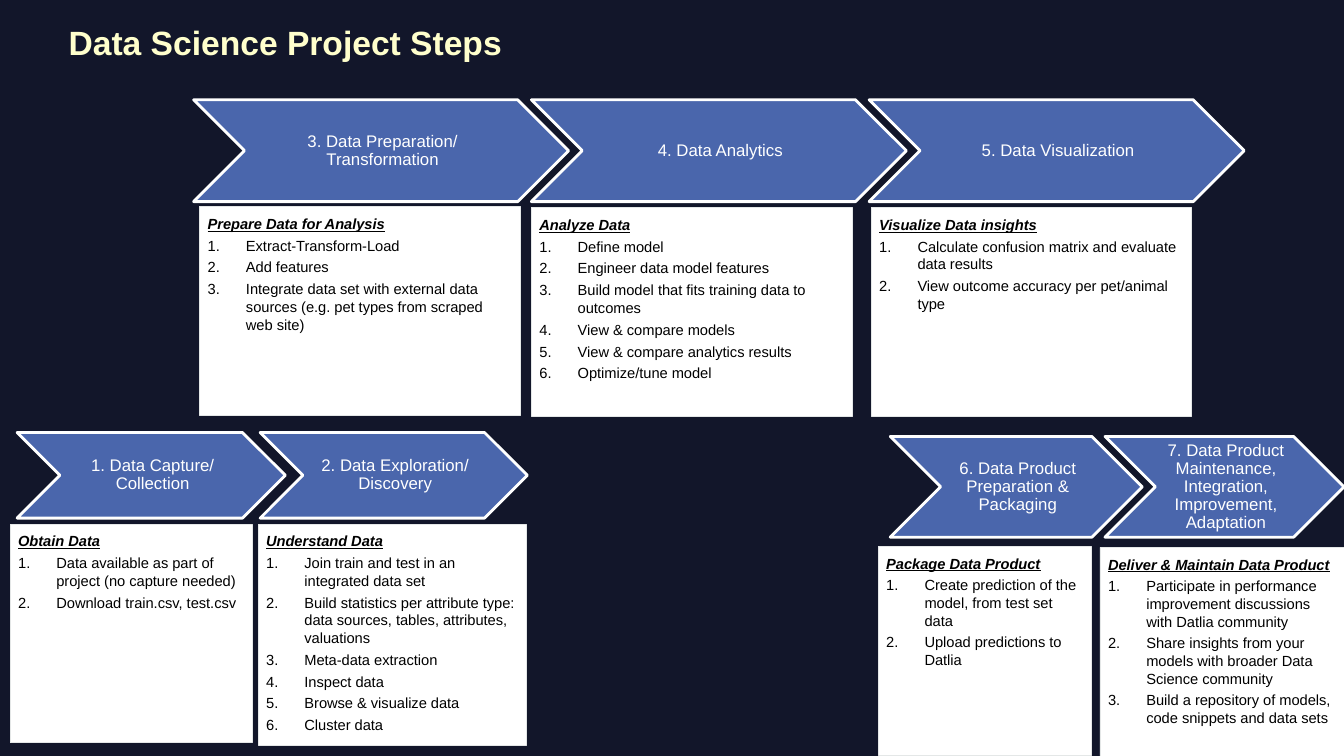
from lxml import etree
from pptx import Presentation
from pptx import util as u
from pptx.dml.color import RGBColor
from pptx.enum import shapes, text
from pptx.oxml.ns import qn

COLORS = {
    "background": "12162A", "title": "FFFFCC", "arrow": "4A66AC",
    "white": "FFFFFF", "card_edge": "E4E7E7", "ink": "000000",
}
FONT = "Arial"

# step label, arrow box, card box, card heading, card items (boxes in inches)
STEPS = [
    ("3. Data Preparation/ Transformation",
     (1.92, 0.99, 3.72, 1.01), (1.98, 2.05, 3.18, 2.07),
     "Prepare Data for Analysis",
     ["Extract-Transform-Load", "Add features",
      "Integrate data set with external data sources "
      "(e.g. pet types from scraped web site)"]),
    ("4. Data Analytics",
     (5.27, 0.99, 3.72, 1.01), (5.27, 2.06, 3.18, 2.07),
     "Analyze Data",
     ["Define model", "Engineer data model features",
      "Build model that fits training data to outcomes",
      "View & compare models", "View & compare analytics results",
      "Optimize/tune model"]),
    ("5. Data Visualization",
     (8.62, 0.99, 3.72, 1.01), (8.64, 2.06, 3.18, 2.07),
     "Visualize Data insights",
     ["Calculate confusion matrix and evaluate data results",
      "View outcome accuracy per pet/animal type"]),
    ("6. Data Product Preparation & Packaging",
     (8.83, 4.33, 2.5, 1), (8.71, 5.42, 2.11, 2.07),
     "Package Data Product",
     ["Create prediction of the model, from test set data",
      "Upload predictions to Datlia"]),
    ("7. Data Product Maintenance, Integration, Improvement, Adaptation",
     (10.96, 4.33, 2.37, 1), (10.91, 5.43, 2.42, 2.07),
     "Deliver & Maintain Data Product",
     ["Participate in performance improvement discussions with Datlia community",
      "Share insights from your models with broader Data Science community",
      "Build a repository of models, code snippets and data sets"]),
    ("1. Data Capture/ Collection",
     (0.17, 4.29, 2.66, 0.85), (0.1, 5.2, 2.4, 2.17),
     "Obtain Data",
     ["Data available as part of project (no capture needed)",
      "Download train.csv, test.csv"]),
    ("2. Data Exploration/ Discovery",
     (2.58, 4.29, 2.65, 0.85), (2.56, 5.2, 2.66, 2.19),
     "Understand Data",
     ["Join train and test in an integrated data set",
      "Build statistics per attribute type: data sources, tables, "
      "attributes, valuations",
      "Meta-data extraction", "Inspect data", "Browse & visualize data",
      "Cluster data"]),
]


def rgb(name):
    """Look up a palette colour."""
    return RGBColor.from_string(COLORS[name])


def add_run(paragraph, words, size, color, bold=False, italic=False, underline=False):
    """Append one formatted run to a paragraph."""
    run = paragraph.add_run()
    run.text = words
    font = run.font
    font.name, font.size = FONT, u.Pt(size)
    font.bold, font.italic, font.underline = bold, italic, underline
    font.color.rgb = rgb(color)


def set_frame(frame, anchor, insets):
    """Wrap a text frame and set its anchor and insets (left, top, right, bottom)."""
    frame.word_wrap = True
    frame.auto_size = text.MSO_AUTO_SIZE.NONE
    frame.vertical_anchor = anchor
    (frame.margin_left, frame.margin_top,
     frame.margin_right, frame.margin_bottom) = map(u.Inches, insets)


def add_panel(slide, kind, box, fill, edge, edge_width):
    """Add a flat filled shape with an outline."""
    panel = slide.shapes.add_shape(kind, *map(u.Inches, box))
    panel.shadow.inherit = False
    panel.fill.solid()
    panel.fill.fore_color.rgb = rgb(fill)
    panel.line.color.rgb = rgb(edge)
    panel.line.width = u.Pt(edge_width)
    return panel


def number_paragraph(paragraph):
    """Give a paragraph automatic numbering with a hanging indent."""
    props = paragraph._p.get_or_add_pPr()
    props.set("marL", str(u.Inches(0.38)))
    props.set("indent", str(-u.Inches(0.38)))
    etree.SubElement(props, qn("a:buFont"), typeface=FONT)
    etree.SubElement(props, qn("a:buAutoNum"), type="arabicPeriod")


def add_arrow(slide, label, box):
    """Add a chevron that names a step."""
    arrow = add_panel(slide, shapes.MSO_SHAPE.CHEVRON, box, "arrow", "white", 2)
    frame = arrow.text_frame
    set_frame(frame, text.MSO_ANCHOR.MIDDLE, (0.05, 0.02, 0.02, 0.02))
    line = frame.paragraphs[0]
    line.alignment = text.PP_ALIGN.CENTER
    line.line_spacing = 0.9
    add_run(line, label, 12, "white")


def add_card(slide, box, heading, items):
    """Add a white card with a heading and a numbered list."""
    card = add_panel(slide, shapes.MSO_SHAPE.RECTANGLE, box, "white", "card_edge", 0.5)
    frame = card.text_frame
    set_frame(frame, text.MSO_ANCHOR.TOP, (0.08,) * 4)
    add_run(frame.paragraphs[0], heading, 10.5, "ink", True, True, True)
    for item in items:
        add_run(frame.add_paragraph(), item, 10.5, "ink")
    for index, paragraph in enumerate(frame.paragraphs):
        paragraph.alignment = text.PP_ALIGN.LEFT
        paragraph.space_after = u.Pt(3)
        if index:
            number_paragraph(paragraph)


def add_title(slide, words):
    """Place and fill the title placeholder."""
    title = slide.shapes.title
    title.left, title.top = u.Inches(0.68), u.Inches(0)
    title.width, title.height = u.Inches(11.96), u.Inches(0.62)
    set_frame(title.text_frame, text.MSO_ANCHOR.BOTTOM, (0, 0.05, 0, 0))
    line = title.text_frame.paragraphs[0]
    line.alignment = text.PP_ALIGN.LEFT
    add_run(line, words, 24, "title", bold=True)


def main():
    """Build the slide and save it."""
    deck = Presentation()
    deck.slide_width, deck.slide_height = u.Inches(13.33), u.Inches(7.5)
    slide = deck.slides.add_slide(deck.slide_layouts.get_by_name("Title Only"))
    slide.background.fill.solid()
    slide.background.fill.fore_color.rgb = rgb("background")

    add_title(slide, "Data Science Project Steps")
    for label, arrow_box, card_box, heading, items in STEPS:
        add_arrow(slide, label, arrow_box)
        add_card(slide, card_box, heading, items)
    deck.save("out.pptx")


main()
